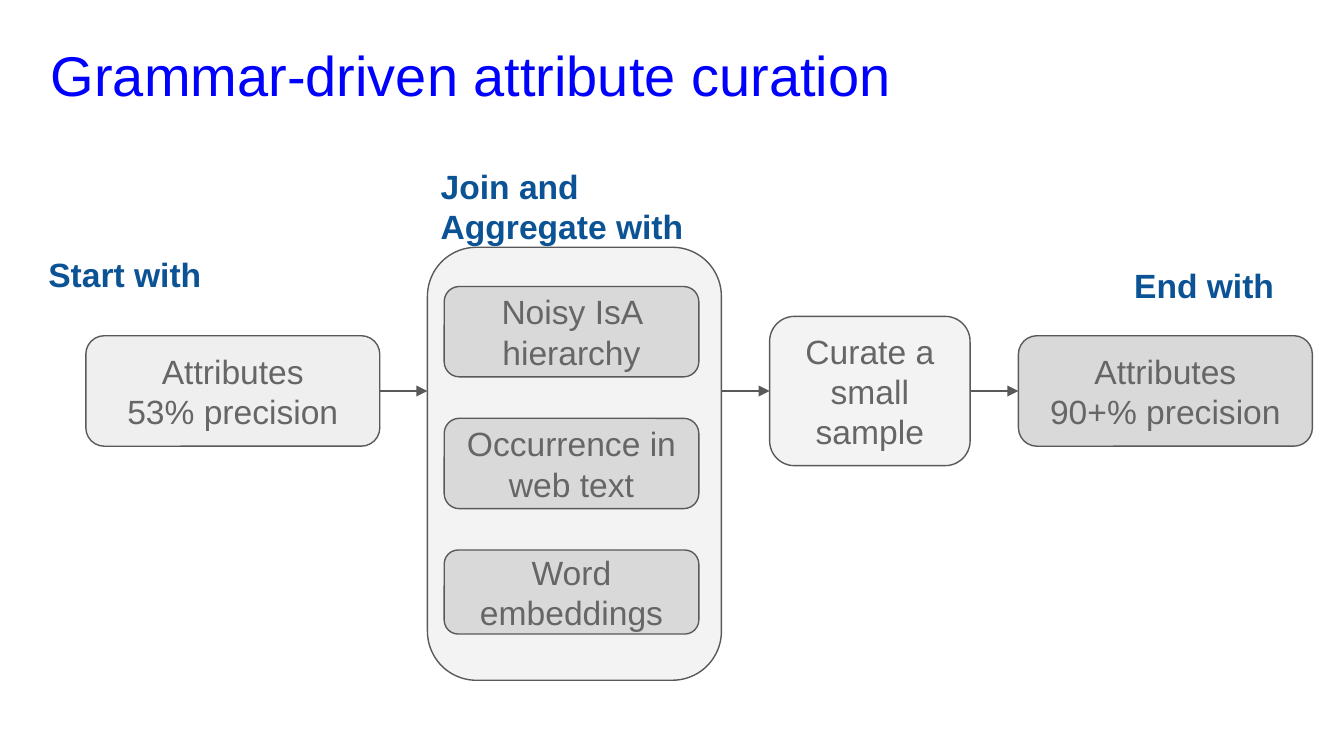
from lxml.etree import SubElement
from pptx import Presentation
from pptx.dml.color import RGBColor as RGB
from pptx.enum.shapes import MSO_CONNECTOR as LINK, MSO_SHAPE as SHAPE
from pptx.enum.text import MSO_ANCHOR as ANCHOR, MSO_AUTO_SIZE as FIT, PP_ALIGN as ALIGN
from pptx.oxml.ns import qn
from pptx.util import Pt

HUES = {"title": "0000FF", "label": "0B5394", "text": "666666", "edge": "595959",
        "start": "EFEFEF", "pale": "F3F3F3", "grey": "D9D9D9"}
MID = 209.5  # height of the arrows


def hue(name):
    return RGB.from_string(HUES[name])


def write(shape, lines, color, size=18, bold=False, align=ALIGN.LEFT, anchor=ANCHOR.TOP):
    frame = shape.text_frame
    frame.word_wrap = True
    frame.auto_size = FIT.NONE
    frame.vertical_anchor = anchor
    frame.margin_left = frame.margin_right = Pt(7.2)
    frame.margin_top = frame.margin_bottom = Pt(7.2)
    for i, line in enumerate(lines):
        para = frame.add_paragraph() if i else frame.paragraphs[0]
        para.alignment = align
        run = para.add_run()
        run.text = line
        font = run.font
        font.name, font.size, font.bold = "Arial", Pt(size), bold
        font.color.rgb = hue(color)


def add_title(slide, text):
    title = slide.shapes.title
    title.left, title.top, title.width, title.height = Pt(20), Pt(14.4), Pt(671), Pt(45.4)
    write(title, [text], "title", size=30)


def add_box(shapes, x, y, w, h, fill, lines=()):
    box = shapes.add_shape(SHAPE.ROUNDED_RECTANGLE, Pt(x), Pt(y), Pt(w), Pt(h))
    box.shadow.inherit = False
    box.fill.solid()
    box.fill.fore_color.rgb = hue(fill)
    box.line.color.rgb = hue("edge")
    box.line.width = Pt(0.75)
    if lines:
        write(box, lines, "text", align=ALIGN.CENTER, anchor=ANCHOR.MIDDLE)
    return box


def add_step(slide, x, w, h, fill, lines):
    """Add a box centred on the line of arrows."""
    return add_box(slide.shapes, x, MID - h / 2, w, h, fill, lines)


def add_stack(slide):
    """Add the panel of joined sources as a group."""
    group = slide.shapes.add_group_shape()
    add_box(group.shapes, 229, 132.5, 157.5, 232, "pale")
    parts = [("Noisy IsA hierarchy", 48.4), ("Occurrence in web text", 48.4),
             ("Word embeddings", 45)]
    for i, (text, high) in enumerate(parts):
        add_box(group.shapes, 238, 153.5 + 70.6 * i, 136.4, high, "grey", [text])


def add_label(slide, x, y, w, text):
    label = slide.shapes.add_textbox(Pt(x), Pt(y), Pt(w), Pt(35.3))
    write(label, [text], "label", bold=True)


def add_arrow(slide, x1, x2, start=None, end=None):
    arrow = slide.shapes.add_connector(LINK.STRAIGHT, Pt(x1), Pt(MID), Pt(x2), Pt(MID))
    if start is not None:
        arrow.begin_connect(start, 3)
    if end is not None:
        arrow.end_connect(end, 1)
    arrow.line.color.rgb = hue("edge")
    arrow.line.width = Pt(0.75)
    props = arrow.line._get_or_add_ln()
    SubElement(props, qn("a:tailEnd"), type="triangle", w="med", len="med")
    SubElement(arrow._element.spPr, qn("a:effectLst"))


def main():
    deck = Presentation()
    deck.slide_width, deck.slide_height = Pt(720), Pt(405)
    slide = deck.slides.add_slide(deck.slide_layouts[5])
    add_title(slide, "Grammar-driven attribute curation")

    first = add_step(slide, 46, 157.5, 59.2, "start", ["Attributes", "53% precision"])
    add_stack(slide)
    sample = add_step(slide, 412.3, 107.4, 80, "pale", ["Curate a small", "sample"])
    last = add_step(slide, 545.6, 157.5, 59.2, "grey", ["Attributes", "90+% precision"])

    add_label(slide, 18.8, 129, 107, "Start with")
    add_label(slide, 600.5, 134.5, 107, "End with")
    add_label(slide, 229, 81.5, 165, "Join and Aggregate with")

    add_arrow(slide, 203.5, 229, start=first)
    add_arrow(slide, 386.5, 412.3, end=sample)
    add_arrow(slide, 519.7, 545.6, start=sample, end=last)
    deck.save("out.pptx")


if __name__ == "__main__":
    main()
